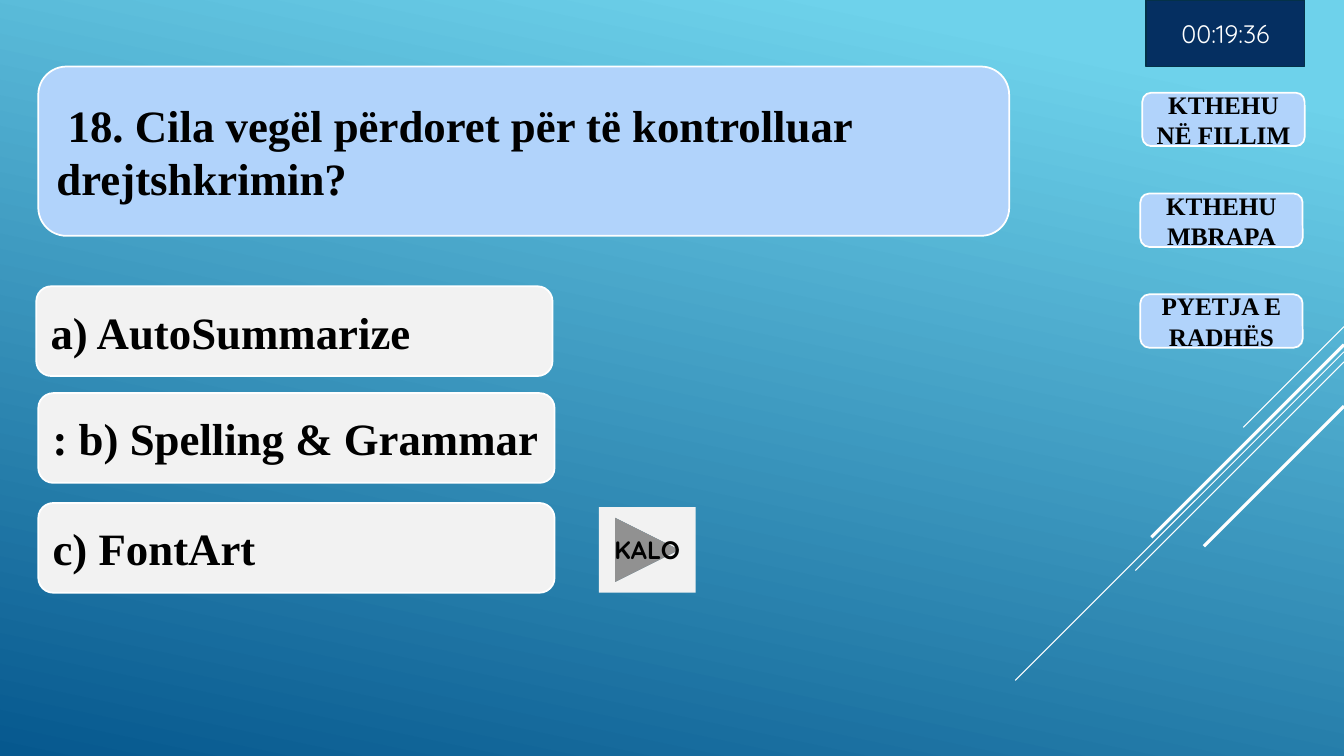
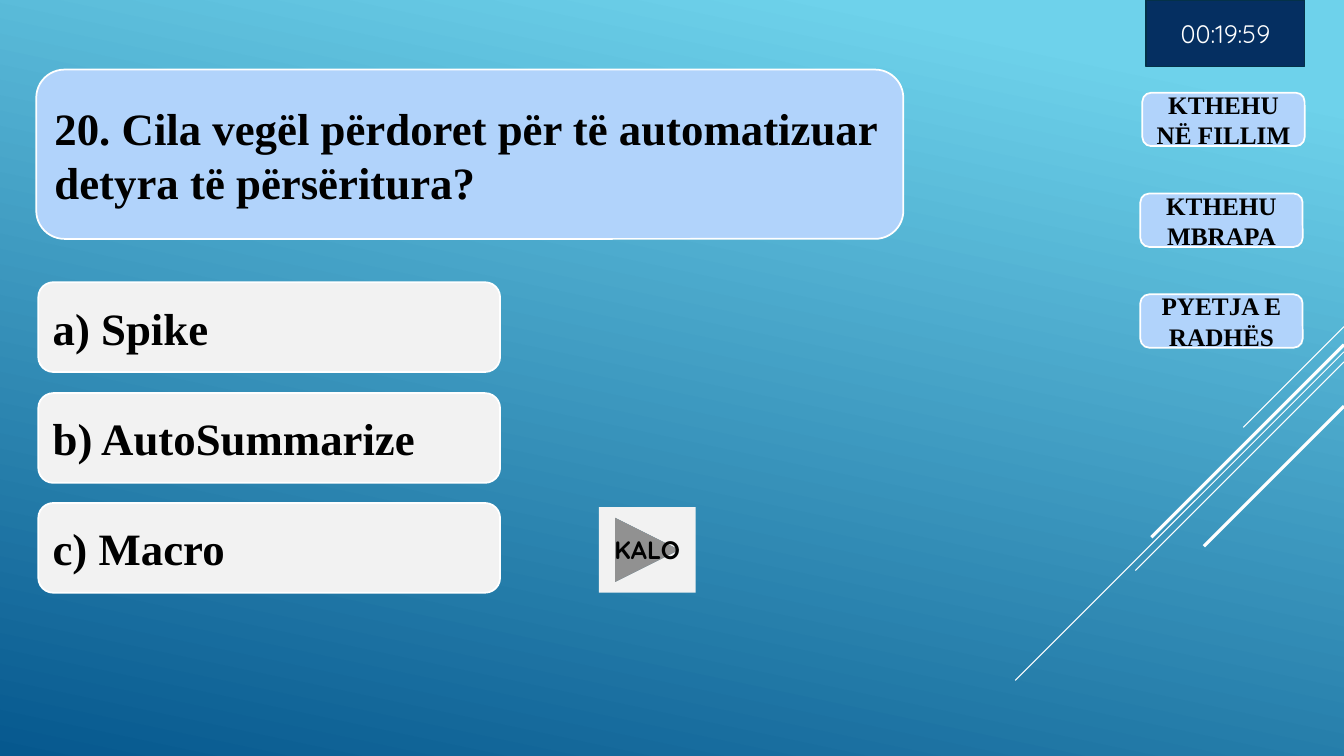
from lxml.etree import SubElement
from pptx import Presentation
from pptx.dml.color import RGBColor
from pptx.enum.shapes import MSO_CONNECTOR, MSO_SHAPE
from pptx.enum.text import MSO_ANCHOR, PP_ALIGN
from pptx.oxml.ns import qn
from pptx.util import Inches, Pt

COLORS = {
    "sky": "6ED2EB", "deep": "06588E", "white": "FFFFFF", "black": "000000",
    "panel": "B1D3FB", "answer": "F2F2F2", "navy": "052F61", "edge": "043148",
}
SERIF, SANS = "Times New Roman", "Quicksand"
WIDTH, HEIGHT = 13.33, 7.5
RAYS = [(3.24, 1, 0.75), (3.49, 3.26, 0.75), (3.59, 2.07, 0.75),
        (3.42, 1.91, 2.25), (4.03, 1.39, 2.25)]
NAV = [("KTHEHU NË FILLIM", 0.02), ("KTHEHU MBRAPA", 0), ("PYETJA E RADHËS", 0)]
QUESTIONS = [
    {"timer": "00:19:36",
     "question": " 18. Cila vegël përdoret për të kontrolluar drejtshkrimin?",
     "box": (0.38, 0.66, 9.63, 1.68),
     "answers": ["a) AutoSummarize", ": b) Spelling & Grammar", "c) FontArt"],
     "width": 5.12, "nudge": (-0.02, 0.03)},
    {"timer": "00:19:59",
     "question": "20. Cila vegël përdoret për të automatizuar detyra të përsëritura?",
     "box": (0.36, 0.69, 8.6, 1.68),
     "answers": ["a) Spike", "b) AutoSummarize", "c) Macro"],
     "width": 4.58, "nudge": (0, -0.01)},
]


def rgb(name):
    """Return the named palette colour."""
    return RGBColor.from_string(COLORS[name])


def add_box(s, text, box, fill, kind=MSO_SHAPE.ROUNDED_RECTANGLE, line="white",
            size=32, font=SERIF, color="black", bold=True, align=PP_ALIGN.CENTER):
    """Add a filled shape holding one centred or left-aligned paragraph."""
    sp = s.shapes.add_shape(kind, *map(Inches, box))
    sp.shadow.inherit = False
    sp.fill.solid()
    sp.fill.fore_color.rgb = rgb(fill)
    if line:
        sp.line.color.rgb = rgb(line)
        sp.line.width = Pt(1.25)
    else:
        sp.line.fill.background()
    tf = sp.text_frame
    tf.word_wrap = True
    tf.vertical_anchor = MSO_ANCHOR.MIDDLE
    p = tf.paragraphs[0]
    p.text = text
    p.alignment = align
    f = p.runs[0].font
    f.name, f.size, f.bold = font, Pt(size), bold
    f.color.rgb = rgb(color)


def add_backdrop(s):
    """Paint the gradient and the diagonal rays at the right edge."""
    fill = s.background.fill
    fill.gradient()
    fill.gradient_angle = 360 - 102
    for stop, name, position in zip(fill.gradient_stops, ("sky", "deep"), (0.1, 1)):
        stop.color.rgb = rgb(name)
        stop.position = position
    for top, reach, weight in RAYS:
        ray = s.shapes.add_connector(
            MSO_CONNECTOR.STRAIGHT, Inches(WIDTH), Inches(top),
            Inches(WIDTH - reach), Inches(top + reach))
        ray.line.color.rgb = rgb("white")
        ray.line.width = Pt(weight)
        SubElement(ray._element.spPr, qn("a:effectLst"))


def add_answers(s, answers, left, top, width, nudge):
    """Stack the answer boxes, shifting the first one by nudge."""
    for i, text in enumerate(answers):
        dx, dy = (0, 0) if i else nudge
        add_box(s, text, (left + dx, top + 1.09 * i + dy, width, 0.89),
                "answer", align=PP_ALIGN.LEFT)


def add_navigation(s, left, top):
    """Stack the navigation buttons."""
    for i, (label, dx) in enumerate(NAV):
        add_box(s, label, (left + dx, top + i, 1.61, 0.53), "panel", size=18)


def add_question_slide(prs, item):
    """Build one quiz slide."""
    s = prs.slides.add_slide(prs.slide_layouts[6])
    add_backdrop(s)
    add_box(s, item["question"], item["box"], "panel", align=PP_ALIGN.LEFT)
    add_answers(s, item["answers"], 0.38, 2.81, item["width"], item["nudge"])
    add_navigation(s, 11.31, 0.92)
    add_box(s, "KALO", (5.94, 5.03, 0.96, 0.85), "answer", line=None, size=18,
            kind=MSO_SHAPE.ACTION_BUTTON_FORWARD_OR_NEXT, font=SANS)
    add_box(s, item["timer"], (11.37, 0, 1.57, 0.66), "navy", line="edge", size=18,
            kind=MSO_SHAPE.RECTANGLE, font=SANS, color="white", bold=False)


def main():
    """Build and save the quiz slides."""
    prs = Presentation()
    prs.slide_width, prs.slide_height = Inches(WIDTH), Inches(HEIGHT)
    for item in QUESTIONS:
        add_question_slide(prs, item)
    prs.save("out.pptx")


if __name__ == "__main__":
    main()
